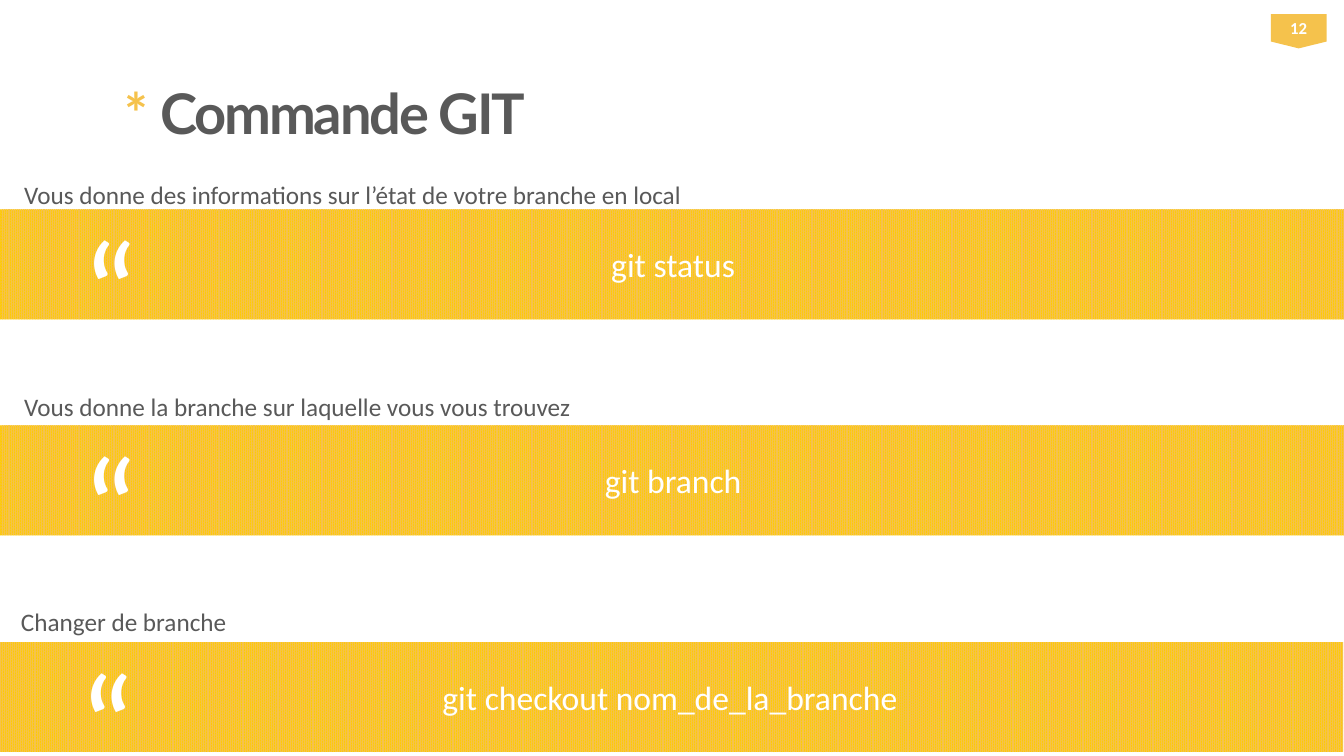
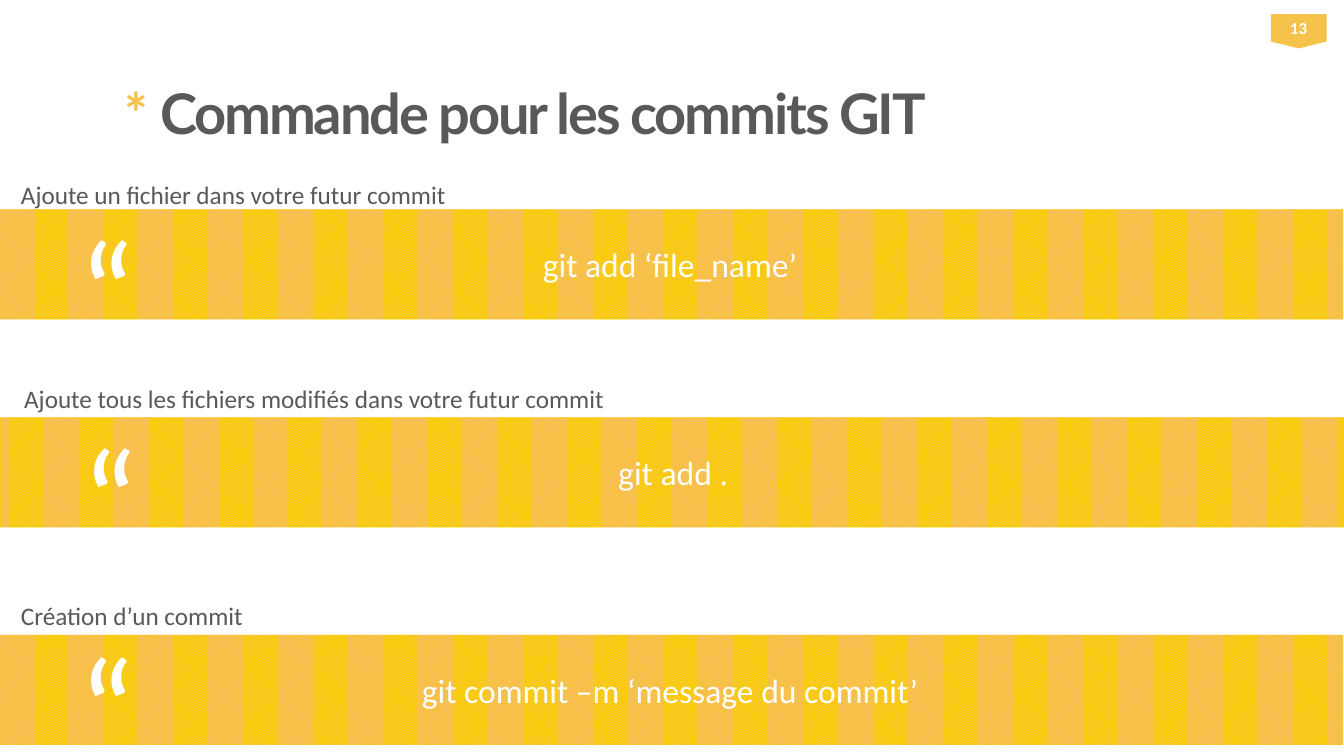
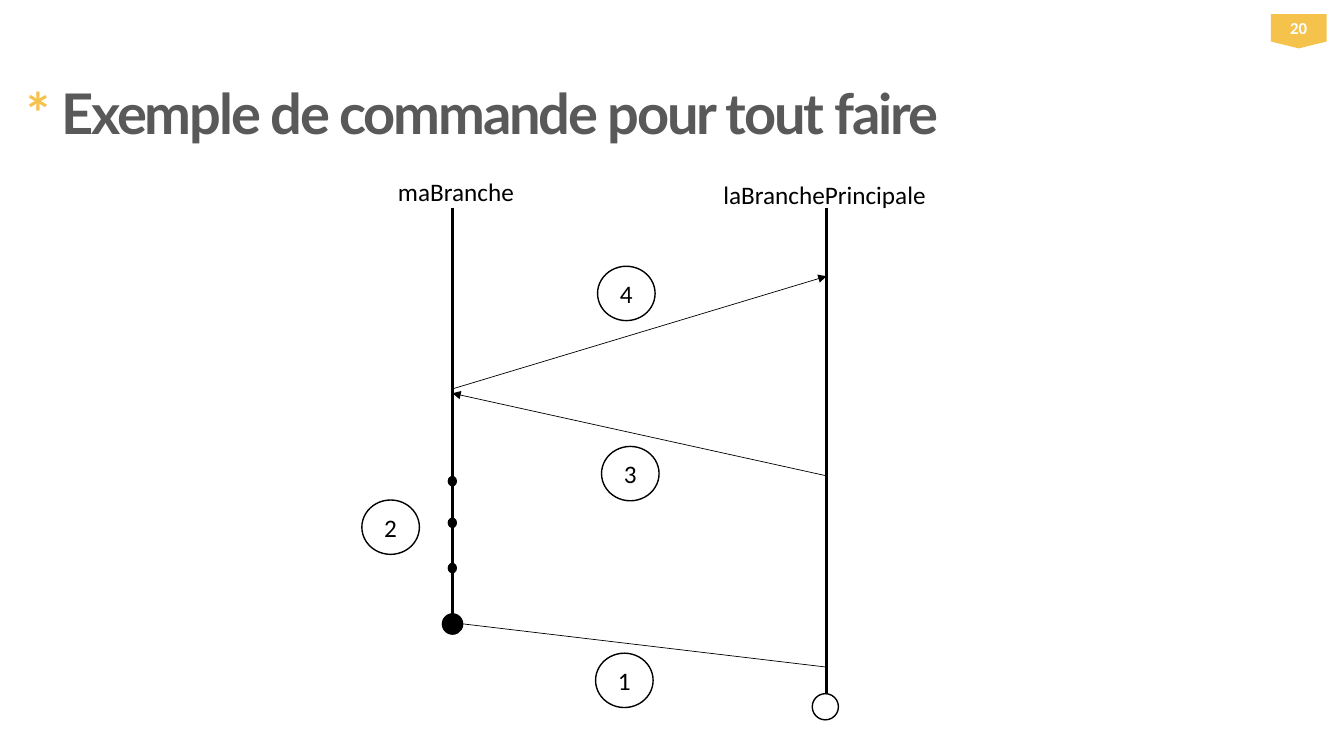
from lxml.etree import SubElement
from pptx import Presentation
from pptx.dml.color import RGBColor
from pptx.enum.dml import MSO_PATTERN
from pptx.enum.shapes import MSO_CONNECTOR, MSO_SHAPE
from pptx.enum.text import MSO_ANCHOR, MSO_AUTO_SIZE, PP_ALIGN
from pptx.oxml.ns import qn
from pptx.util import Cm, Pt

GOLD = RGBColor(0xF5, 0xC2, 0x4C)
YELLOW = RGBColor(0xFF, 0xCC, 0x00)
GREY = RGBColor(0x59, 0x59, 0x59)
WHITE = RGBColor(0xFF, 0xFF, 0xFF)
BLACK = RGBColor(0x00, 0x00, 0x00)

deck = Presentation()
deck.slide_width, deck.slide_height = Cm(33.87), Cm(19.05)


def add_form(slide, kind, box, fill=None, line=None, text="", size=18, color=WHITE):
    """Add a preset shape with centred text."""
    form = slide.shapes.add_shape(kind, *[Cm(v) for v in box])
    form.shadow.inherit = False
    if fill is not None:
        form.fill.solid()
        form.fill.fore_color.rgb = fill
    if line is None:
        form.line.fill.background()
    else:
        form.line.color.rgb = line
        form.line.width = Pt(1)
    if text:
        frame = form.text_frame
        frame.text = text
        frame.vertical_anchor = MSO_ANCHOR.MIDDLE
        para = frame.paragraphs[0]
        para.alignment = PP_ALIGN.CENTER
        font = para.runs[0].font
        font.name, font.size, font.color.rgb = "Calibri", Pt(size), color
    return form


def add_words(slide, box, parts, font="Calibri", size=18, bold=False, wrap=False):
    """Add a text box made of (text, colour) parts; Lato is set tight."""
    frame = slide.shapes.add_textbox(*[Cm(v) for v in box]).text_frame
    frame.word_wrap = wrap
    frame.auto_size = MSO_AUTO_SIZE.NONE if wrap else MSO_AUTO_SIZE.SHAPE_TO_FIT_TEXT
    for text, color in parts:
        run = frame.paragraphs[0].add_run()
        run.text = text
        run.font.name, run.font.size, run.font.bold = font, Pt(size), bold
        run.font.color.rgb = color
        if font == "Lato":
            run.font._element.set("spc", "-150")
    return frame


# Slides with title and page badge
heads = [
    ("Commande GIT", "12", 2.9, 27.28),
    ("Commande pour les commits GIT", "13", 2.9, 27.28),
    ("Exemple de commande pour tout faire", "20", 0.41, 33.02),
]
slides = []
for title, page, left, width in heads:
    slide = deck.slides.add_slide(deck.slide_layouts[6])
    add_words(slide, (left, 1.85, width, 1.68), [("* ", GOLD), (title, GREY)],
              "Lato", 40, True, True)
    badge = add_form(slide, MSO_SHAPE.FLOWCHART_OFFPAGE_CONNECTOR,
                     (32.03, 0.36, 1.4, 0.86), GOLD, text=page, size=12)
    badge.text_frame.paragraphs[0].runs[0].font.bold = True
    slides.append(slide)

# Command bands: left, band top, quote top, command, caption top, width, caption
bands = [
    [
        (0, 5.28, 5.28, "git status", 4.39, 17.27,
         "Vous donne des informations sur l’état de votre branche en local"),
        (0, 10.72, 10.72, "git branch", 9.73, 14.45,
         "Vous donne la branche sur laquelle vous vous trouvez"),
        (-0.08, 16.18, 16.18, "git checkout nom_de_la_branche", 15.16, 5.77,
         "Changer de branche"),
    ],
    [
        (-0.08, 5.28, 5.28, "git add ‘file_name’", 4.39, 11.56,
         "Ajoute un fichier dans votre futur commit"),
        (0, 10.52, 10.52, "git add .", 9.53, 15.29,
         "Ajoute tous les fichiers modifiés dans votre futur commit"),
        (-0.08, 16, 15.77, "git commit –m ‘message du commit’", 15.01, 6.17,
         "Création d’un commit"),
    ],
]
for slide, rows in zip(slides, bands):
    for left, top, quote_top, command, head, width, caption in rows:
        band = add_form(slide, MSO_SHAPE.RECTANGLE, (left, top, 33.93, 2.77),
                        text=command, size=24)
        band.fill.patterned()
        band.fill.pattern = MSO_PATTERN.PERCENT_90
        band.fill.fore_color.rgb = GOLD
        band.fill.back_color.rgb = YELLOW
        quote = add_words(slide, (left + 2.21, quote_top, 0.18, 2.34),
                          [("“", WHITE)], "Lato", 96, wrap=True)
        quote.margin_left = quote.margin_right = 0
        quote.margin_top = quote.margin_bottom = 0
        add_words(slide, (left + 0.36, head, width, 1.02), [(caption, GREY)])

# Branch diagram: lifelines and arrows
graph = slides[2]
MINE, MAIN = 11.4, 20.83
lines = [
    (MINE, 5.23, MINE, 15.98, 1.75, False),
    (MAIN, 5.23, MAIN, 17.81, 1.75, False),
    (MAIN, 16.81, 11.66, 15.72, 0.5, False),
    (MAIN, 11.99, MINE, 9.91, 0.5, True),
    (MINE, 9.8, MAIN, 6.96, 0.5, True),
]
for *ends, weight, arrow in lines:
    link = graph.shapes.add_connector(MSO_CONNECTOR.STRAIGHT, *[Cm(v) for v in ends])
    link.line.color.rgb = BLACK
    link.line.width = Pt(weight)
    if arrow:
        SubElement(link.line._get_or_add_ln(), qn("a:tailEnd"), type="triangle")
    SubElement(link._element.spPr, qn("a:effectLst"))

# Branch ends and commits
add_form(graph, MSO_SHAPE.OVAL, (20.47, 17.48, 0.66, 0.66), WHITE, BLACK)
add_form(graph, MSO_SHAPE.OVAL, (11.15, 15.47, 0.51, 0.51), BLACK, BLACK)
for top in (12.01, 13.06, 14.2):
    add_form(graph, MSO_SHAPE.OVAL, (11.3, top, 0.2, 0.23), BLACK, BLACK)

# Numbered steps
steps = [(15.01, 16.46), (9.12, 12.6), (15.16, 11.25), (15.06, 6.71)]
for num, (left, top) in enumerate(steps, 1):
    add_form(graph, MSO_SHAPE.OVAL, (left, top, 1.45, 1.37), WHITE, BLACK,
             str(num), 18, BLACK)

# Branch names
add_words(graph, (9.78, 4.32, 3.45, 1.02), [("maBranche", BLACK)])
add_words(graph, (17.98, 4.39, 5.66, 1.02), [("laBranchePrincipale", BLACK)])

deck.save("out.pptx")
